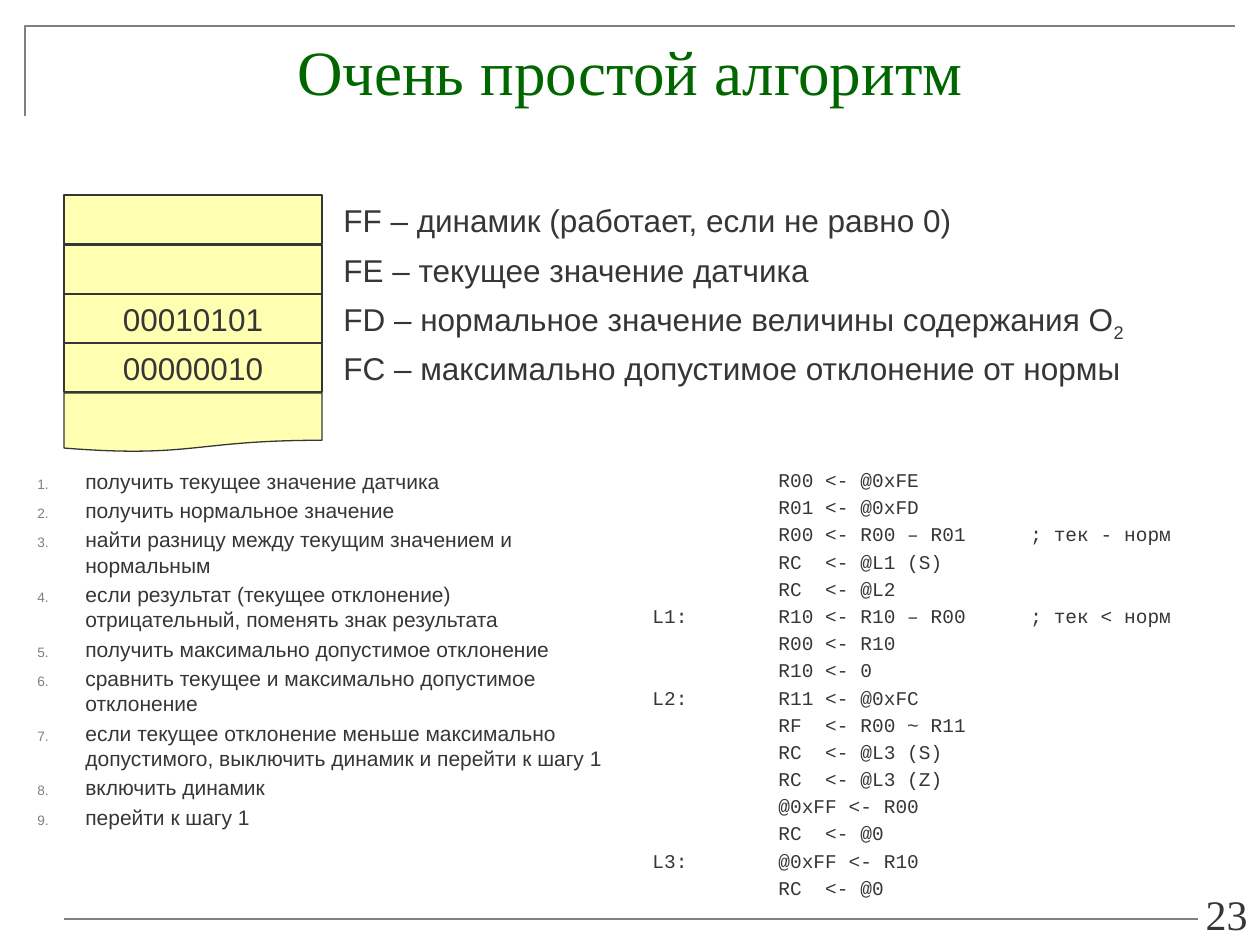
"""Build the slide about a very simple sensor algorithm."""
from dataclasses import dataclass

from lxml import etree
from pptx import Presentation
from pptx import util as u
from pptx.dml.color import RGBColor
from pptx.enum import shapes, text
from pptx.oxml import parse_xml
from pptx.oxml.ns import nsdecls, qn


@dataclass(frozen=True)
class Theme:
    ink: RGBColor = RGBColor(0x36, 0x36, 0x36)
    green: RGBColor = RGBColor(0x00, 0x66, 0x00)
    gray: RGBColor = RGBColor(0x80, 0x80, 0x80)
    yellow: RGBColor = RGBColor(0xFF, 0xFF, 0x00)
    sans: str = "Arial"
    serif: str = "Times New Roman"
    mono: str = "Courier New"
    title: float = 36
    number: float = 24
    label: float = 18
    step: float = 12
    code: float = 11.1


T = Theme()
EMU_PER_PX = 914400 / 126
LEFT, CENTER, RIGHT = text.PP_ALIGN.LEFT, text.PP_ALIGN.CENTER, text.PP_ALIGN.RIGHT


def px(*lengths):
    return [u.Emu(round(n * EMU_PER_PX)) for n in lengths]


def write(p, words, face, size, color=T.ink, align=LEFT, extras=()):
    p.text = words
    p.alignment = align
    p.font.name, p.font.size = face, u.Pt(size)
    p.font.color.rgb = color
    pPr = p.font._element.getparent()
    for xml in extras:
        p.font._element.addprevious(parse_xml(xml.replace(" ", f" {nsdecls('a')} ", 1)))
    return pPr


SPACING = '<a:spcBef ><a:spcPct val="20000"/></a:spcBef>'
NUMBERING = (
    f'<a:buClr ><a:srgbClr val="{T.gray}"/></a:buClr>',
    '<a:buSzPct val="65000"/>',
    '<a:buFont typeface="Arial"/>',
    '<a:buAutoNum type="arabicPeriod"/>',
)
TABS = '<a:tabLst ><a:tab pos="914400" algn="l"/><a:tab pos="2743200" algn="l"/></a:tabLst>'

STEPS = [
    "получить текущее значение датчика",
    "получить нормальное значение",
    "найти разницу между текущим значением и нормальным",
    "если результат (текущее отклонение) отрицательный, поменять знак результата",
    "получить максимально допустимое отклонение",
    "сравнить текущее и максимально допустимое отклонение",
    "если текущее отклонение меньше максимально допустимого, выключить динамик и перейти к шагу 1",
    "включить динамик",
    "перейти к шагу 1",
]
CODE = [
    "\tR00 <- @0xFE",
    "\tR01 <- @0xFD",
    "\tR00 <- R00 – R01\t; тек - норм",
    "\tRC  <- @L1 (S)",
    "\tRC  <- @L2",
    "L1:\tR10 <- R10 – R00\t; тек < норм",
    "\tR00 <- R10",
    "\tR10 <- 0",
    "L2:\tR11 <- @0xFC",
    "\tRF  <- R00 ~ R11",
    "\tRC  <- @L3 (S)",
    "\tRC  <- @L3 (Z)",
    "\t@0xFF <- R00",
    "\tRC  <- @0",
    "L3:\t@0xFF <- R10",
    "\tRC  <- @0",
]
MEMORY = [
    ("", "FF – динамик (работает, если не равно 0)", "", 639),
    ("", "FE – текущее значение датчика", "", 495),
    ("00010101", "FD – нормальное значение величины содержания O", "2", 822),
    ("00000010", "FC – максимально допустимое отклонение от нормы", "", 810),
    ("", "", "", 0),
]

prs = Presentation()
prs.slide_width, prs.slide_height = px(1260, 945)
s = prs.slides.add_slide(prs.slide_layouts[5])

builder = s.shapes.build_freeform(25, 116, scale=EMU_PER_PX)
builder.add_line_segments([(25, 26), (1235, 26)], close=False)
frame = builder.convert_to_shape()
frame.fill.background()
frame.shadow.inherit = False
rule = s.shapes.add_connector(shapes.MSO_CONNECTOR.STRAIGHT, *px(64, 919, 1198, 919))
etree.SubElement(rule._element.spPr, qn("a:effectLst"))
for edge in (frame, rule):
    edge.line.color.rgb = T.gray
    edge.line.width = u.Pt(1.5)

title = s.shapes.title
title.left, title.top, title.width, title.height = px(25, 26, 1210, 169)
title.text_frame.vertical_anchor = text.MSO_ANCHOR.TOP
write(title.text_frame.paragraphs[0], "Очень простой алгоритм", T.serif, T.title, T.green, CENTER)

for left, lines, face, size, extras in (
    (25, STEPS, T.sans, T.step, (SPACING, *NUMBERING)),
    (640, CODE, T.mono, T.code, (SPACING, TABS)),
):
    tf = s.shapes.add_textbox(*px(left, 462, 595, 427)).text_frame
    tf.word_wrap = True
    for i, line in enumerate(lines):
        p = tf.add_paragraph() if i else tf.paragraphs[0]
        pPr = write(p, line, face, size, extras=extras)
        if lines is STEPS:
            pPr.set("marL", str(px(48)[0]))
            pPr.set("indent", str(px(-48)[0]))

tf = s.shapes.add_textbox(*px(966, 890, 294, 55)).text_frame
tf.word_wrap = True
tf.vertical_anchor = text.MSO_ANCHOR.BOTTOM
write(tf.paragraphs[0], "23", T.serif, T.number, align=RIGHT)

for row, (value, label, subscript, width) in enumerate(MEMORY):
    top = 195 + round(row * 49.5)
    kind, height = shapes.MSO_SHAPE.RECTANGLE, 49
    if not label:
        kind, height = shapes.MSO_SHAPE.FLOWCHART_DOCUMENT, 59
    sp = s.shapes.add_shape(kind, *px(64, top, 258, height))
    sp.shadow.inherit = False
    sp.fill.solid()
    sp.fill.fore_color.rgb = T.yellow
    tint = sp._element.spPr.find(qn("a:solidFill"))[0]
    etree.SubElement(tint, qn("a:alpha"), val="30000")
    sp.line.color.rgb = T.ink
    sp.line.width = u.Pt(0.75)
    if value:
        write(sp.text_frame.paragraphs[0], value, T.sans, T.label, align=CENTER)
    if label:
        tf = s.shapes.add_textbox(*px(331, top, width, 50)).text_frame
        tf.word_wrap = False
        tf.auto_size = text.MSO_AUTO_SIZE.SHAPE_TO_FIT_TEXT
        p = tf.paragraphs[0]
        write(p, label, T.sans, T.label)
        if subscript:
            r = p.add_run()
            r.text = subscript
            r.font._element.set("baseline", "-25000")

prs.save("out.pptx")
